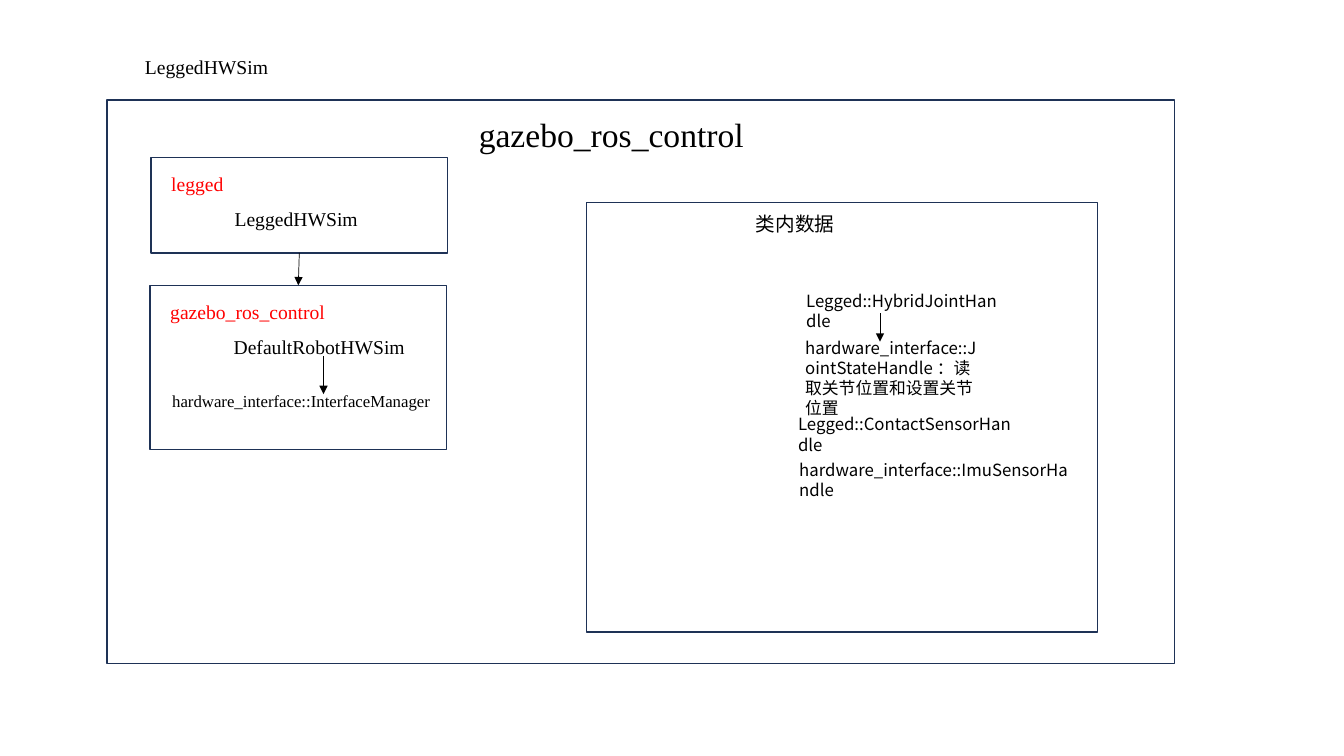
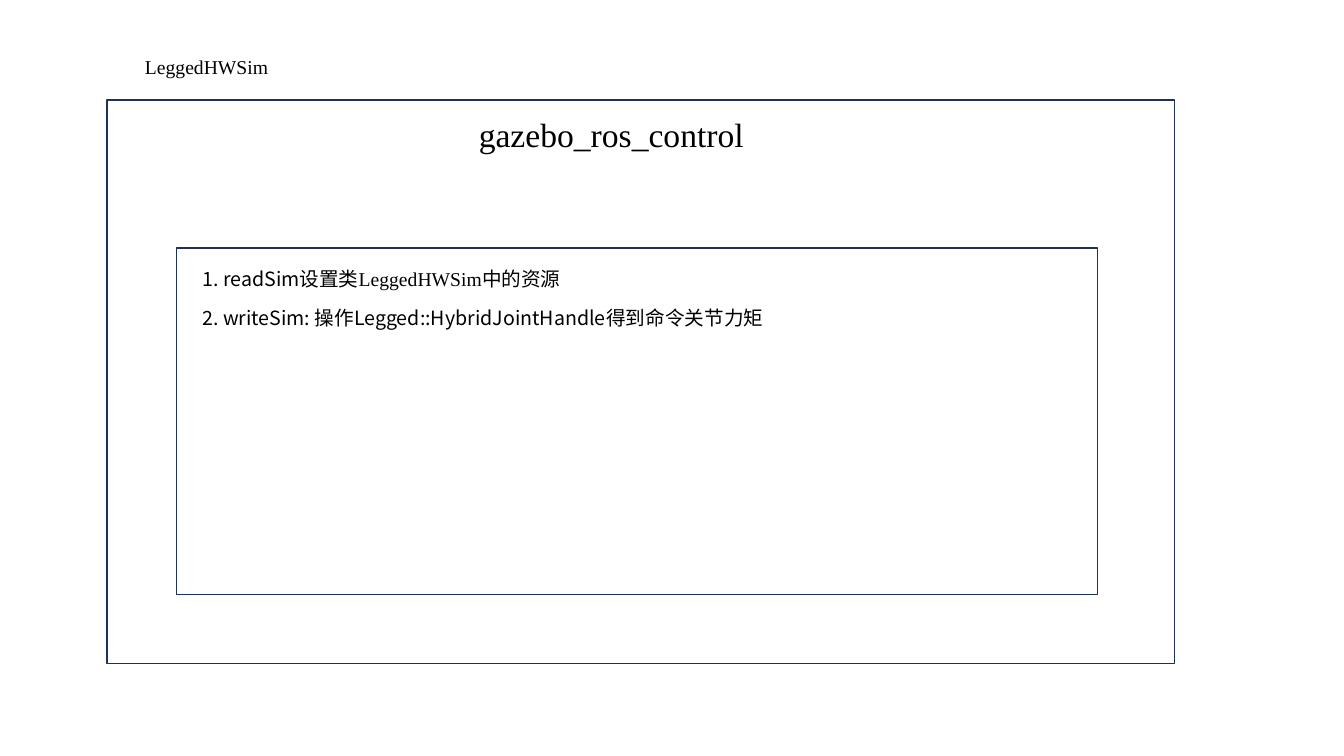
from pptx import Presentation
from pptx import util as u
from pptx.dml import color
from pptx.enum import shapes, text
from pptx.oxml import ns
from lxml import etree

SERIF, SANS = "Times New Roman", "Noto Sans CJK SC"
INK, RED, NAVY = "000000", "FF0000", "1E3256"


def hue(code):
    return color.RGBColor.from_string(code)


def put(item, vals):
    for key, val in vals.items():
        setattr(item, key, val)


def child(node, tag, **vals):
    return etree.SubElement(node, ns.qn(tag), **vals)


class Deck:
    def __init__(self):
        self.prs = Presentation()
        put(self.prs, {"slide_width": u.Pt(960), "slide_height": u.Pt(540)})
        self.slide = None

    def page(self, title, label):
        self.slide = self.prs.slides.add_slide(self.prs.slide_layouts[5])
        head = self.slide.shapes.title
        spot = zip(("left", "top", "width", "height"), (334.8, 77.8, 205.2, 36))
        put(head, {key: u.Pt(val) for key, val in spot})
        self.words(head, [(title, SERIF)], 24, INK, False)
        self.box(76.3, 71.3, 762.5, 402.5)
        self.label(96.5, 36, 103, label)

    def box(self, *spot):
        rect = self.slide.shapes.add_shape(
            shapes.MSO_SHAPE.RECTANGLE, *map(u.Pt, spot))
        rect.shadow.inherit = False
        rect.fill.background()
        rect.line.color.rgb = hue(NAVY)
        rect.line.width = u.Pt(1)

    def words(self, shape, runs, size, tint, wrap):
        frame = shape.text_frame
        put(frame, {"word_wrap": wrap,
                    "auto_size": text.MSO_AUTO_SIZE.SHAPE_TO_FIT_TEXT,
                    "vertical_anchor": text.MSO_ANCHOR.TOP})
        para = frame.paragraphs[0]
        para.alignment = text.PP_ALIGN.LEFT
        for part, face in runs:
            run = para.add_run()
            run.text = part
            put(run.font, {"size": u.Pt(size), "name": face})
            run.font.color.rgb = hue(tint)
            child(run.font._element, "a:ea", typeface=SANS)

    def label(self, x, y, w, words, size=14, face=SERIF, tint=INK, high=None):
        runs = [(words, face)] if isinstance(words, str) else words
        high = high or size * 1.2 + 7.2
        area = self.slide.shapes.add_textbox(*map(u.Pt, (x, y, w, high)))
        self.words(area, runs, size, tint, runs[0][1] == SANS)

    def arrow(self, *ends):
        line = self.slide.shapes.add_connector(
            shapes.MSO_CONNECTOR.STRAIGHT, *map(u.Pt, ends))
        line.line.color.rgb = hue(INK)
        line.line.width = u.Pt(0.5)
        props = line._element.spPr
        child(props.find(ns.qn("a:ln")), "a:tailEnd", type="triangle")
        child(props, "a:effectLst")

    def group(self, x, y, high, label, wide, name, span):
        self.box(x, y, 211.7, high)
        self.label(x + 7.2, y + 6.8, wide, label, tint=RED)
        self.label(x + 52.5, y + 32, span, name)


deck = Deck()
TITLE, LABEL = "gazebo_ros_control", "LeggedHWSim"

deck.page(TITLE, LABEL)
deck.group(108, 112.3, 68.4, "legged", 52.6, LABEL, 103)
deck.group(107.3, 203.8, 117.4, TITLE, 126, "DefaultRobotHWSim", 137.5)
deck.label(115.9, 275.8, 201.6, "hardware_interface::InterfaceManager", 12)
deck.box(419, 144.7, 365, 306.7)
deck.label(532.8, 147.6, 78.5, "类内数据", face=SANS)
handles = [
    (568.8, 203.8, 154.1, "Legged::HybridJointHandle", None),
    (568.1, 237.6, 139, "hardware_interface::JointStateHandle ：读取关节位置和设置关节位置", 51.1),
    (563, 292.3, 171.4, "Legged::ContactSensorHandle", None),
    (563.8, 324.7, 209.5, "hardware_interface::ImuSensorHandle", None),
]
for x, y, w, words, high in handles:
    deck.label(x, y, w, words, 12, SANS, high=high)
for ends in [(213.8, 180.7, 213.1, 203.8),
             (231.1, 254.2, 231.1, 281.5),
             (628.6, 223.9, 628.6, 244.1)]:
    deck.arrow(*ends)

deck.page(TITLE, LABEL)
deck.box(126, 177.1, 658, 247.7)
steps = [
    [("1. readSim设置类", SANS), ("LeggedHWSim中的资源", SERIF)],
    [("2. writeSim: 操作Legged::HybridJointHandle得到命令关节力矩", SANS)],
]
for i, runs in enumerate(steps):
    deck.label(137.5, 187.2 + 28.1 * i, 492.5, runs)

deck.prs.save("out.pptx")
